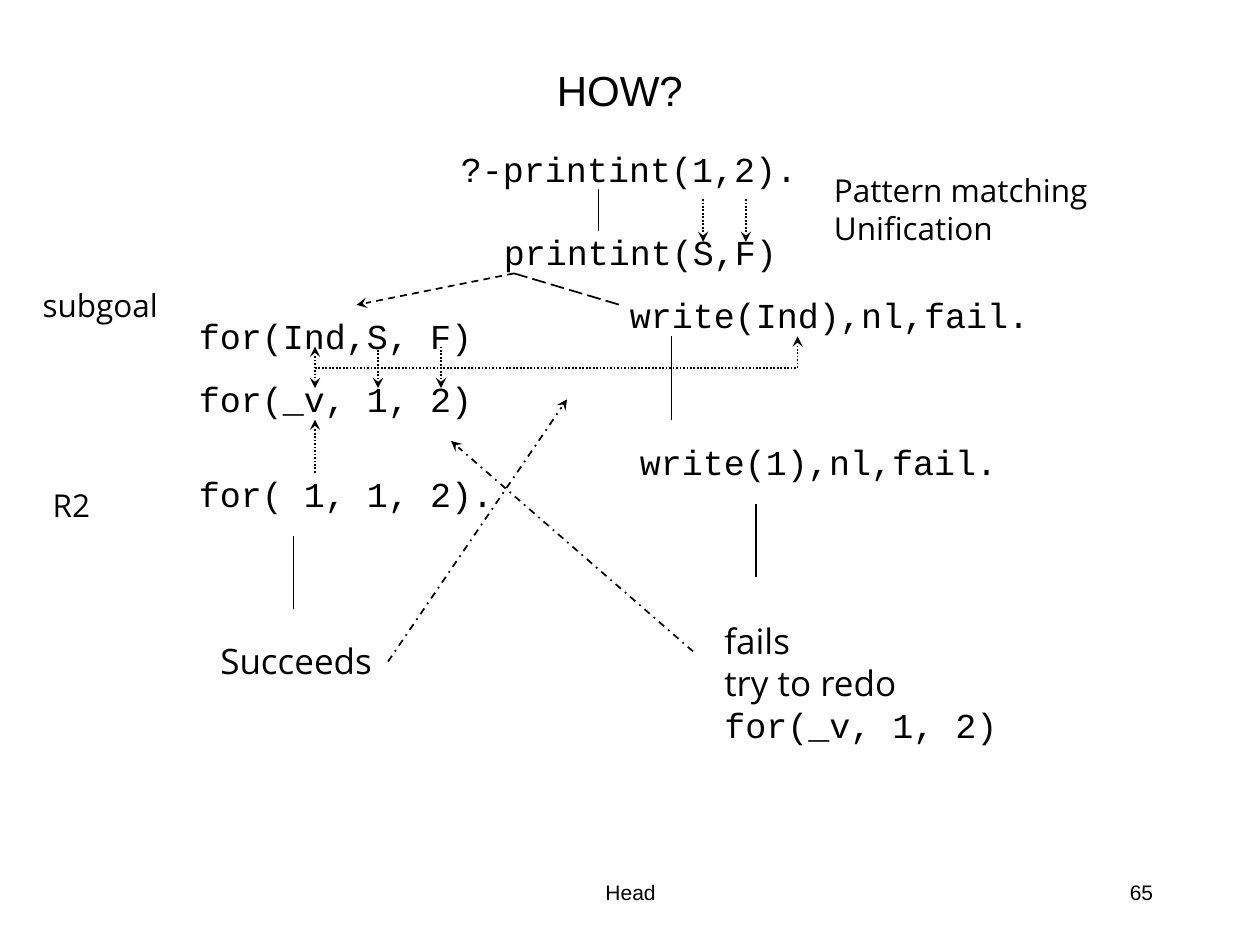
from lxml import etree
from pptx import Presentation
from pptx.dml.color import RGBColor
from pptx.enum.dml import MSO_LINE
from pptx.enum.shapes import MSO_CONNECTOR
from pptx.enum.text import MSO_ANCHOR, PP_ALIGN
from pptx.oxml.ns import qn
from pptx.util import Inches, Pt

BLACK = RGBColor(0, 0, 0)
SANS, CODE, BODY = "Arial", "Courier New", "Open Sans"
LEFT, MID, RIGHT = PP_ALIGN.LEFT, PP_ALIGN.CENTER, PP_ALIGN.RIGHT
TOP, MIDDLE = MSO_ANCHOR.TOP, MSO_ANCHOR.MIDDLE
STRAIGHT = MSO_CONNECTOR.STRAIGHT
SOLID, DOT, DASH = MSO_LINE.SOLID, MSO_LINE.ROUND_DOT, MSO_LINE.DASH
LONG, MIXED = MSO_LINE.LONG_DASH, MSO_LINE.DASH_DOT
HEAD, TAIL = "a:headEnd", "a:tailEnd"


class Sketch:
    def __init__(self, slide, color):
        self.slide = slide
        self.color = color

    def text(self, spot, words, size, fonts, align=LEFT, anchor=TOP, wrap=False):
        box = self.slide.shapes.add_textbox(*map(Inches, spot))
        frame = box.text_frame
        frame.text = words
        frame.word_wrap = wrap
        frame.vertical_anchor = anchor
        for para, name in zip(frame.paragraphs, fonts):
            para.alignment = align
            for run in para.runs:
                run.font.name = name
                run.font.size = Pt(size)
                run.font.color.rgb = self.color

    def label(self, spot, words, size, *fonts):
        self.text(spot, words, size, fonts)

    def code(self, left, top, width, words):
        self.label((left, top, width, 0.43), words, 20, CODE)

    def frame(self, spot, words, size, align):
        self.text(spot, words, size, [SANS], align, MIDDLE, True)

    def line(self, start, end, dash=SOLID, tips=()):
        link = self.slide.shapes.add_connector(
            STRAIGHT, *map(Inches, (*start, *end)))
        link.line.color.rgb = self.color
        link.line.width = Pt(1)
        link.line.dash_style = dash
        props = link.line._get_or_add_ln()
        for tip in tips:
            etree.SubElement(props, qn(tip), type="stealth")
        etree.SubElement(link._element.spPr, qn("a:effectLst"))


def main():
    deck = Presentation()
    deck.slide_width, deck.slide_height = Inches(10), Inches(7.5)
    art = Sketch(deck.slides.add_slide(deck.slide_layouts[6]), BLACK)

    art.frame((0.67, 0.42, 8.5, 0.58), "HOW?", 24, MID)
    art.frame((3.42, 6.83, 3.17, 0.5), "Head", 12, MID)
    art.frame((7.17, 6.83, 2.08, 0.5), "65", 12, RIGHT)

    for left, top, width, words in (
        (3.56, 1.12, 2.87, "?-printint(1,2)."),
        (3.9, 1.78, 2.37, "printint(S,F)"),
        (1.48, 2.45, 2.37, "for(Ind,S, F)"),
        (4.9, 2.28, 3.38, "write(Ind),nl,fail."),
        (1.48, 2.95, 2.37, "for(_v, 1, 2)"),
        (1.48, 3.7, 2.54, "for( 1, 1, 2)."),
        (4.98, 3.45, 3.04, "write(1),nl,fail."),
    ):
        art.code(left, top, width, words)

    art.label((0.24, 2.22, 1.14, 0.4), "subgoal", 18, BODY)
    art.label((6.52, 1.31, 2.25, 0.7), "Pattern matching\nUnification",
              18, BODY, BODY)
    art.label((0.32, 3.81, 0.5, 0.4), "R2", 18, BODY)
    art.label((1.65, 5.03, 1.41, 0.43), "Succeeds", 20, BODY)
    art.label((5.65, 4.87, 2.37, 1.1), "fails\ntry to redo\nfor(_v, 1, 2)",
              20, BODY, BODY, CODE)

    for x, top, end in ((4.75, 1.5, 1.83), (2.33, 4.25, 4.83),
                        (5.33, 2.67, 3.33), (6, 4, 4.58)):
        art.line((x, top), (x, end))

    for x in (5.58, 5.92):
        art.line((x, 1.58), (x, 1.92), DOT, [TAIL])
    for x, tips in ((2.5, [HEAD, TAIL]), (3, [TAIL]), (3.5, [TAIL])):
        art.line((x, 2.75), (x, 3.08), DOT, tips)
    art.line((2.5, 3.33), (2.5, 3.75), DOT, [HEAD])
    art.line((2.5, 2.92), (6.33, 2.92), DOT)
    art.line((6.33, 2.92), (6.33, 2.67), DOT, [TAIL])

    art.line((4.08, 2.17), (2.83, 2.42), DASH, [TAIL])
    art.line((4.08, 2.17), (4.92, 2.42), LONG)
    art.line((3.08, 5.25), (4.5, 3.17), MIXED, [TAIL])
    art.line((5.5, 5.17), (3.58, 3.5), MIXED, [TAIL])

    deck.save("out.pptx")


if __name__ == "__main__":
    main()
